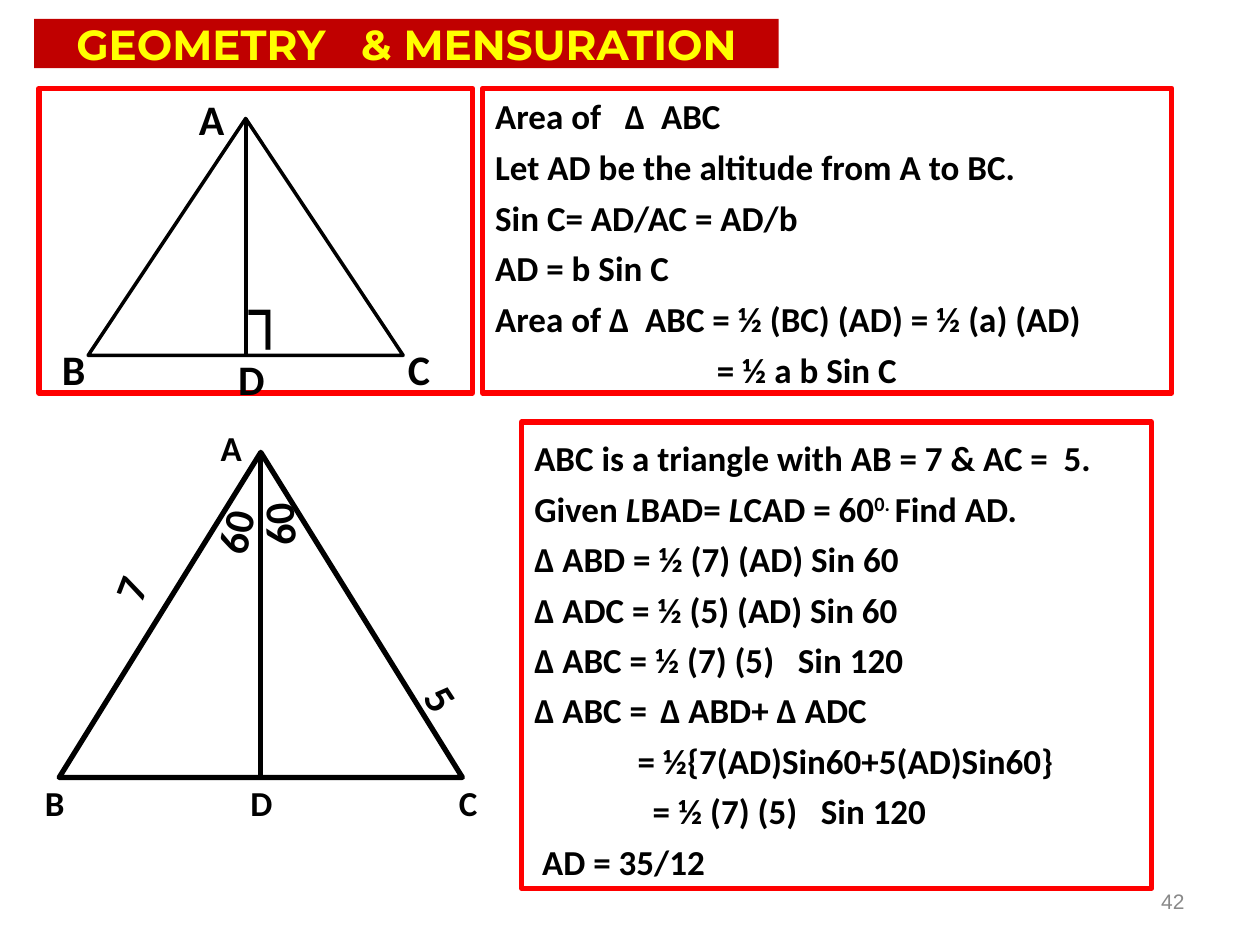
from pptx import Presentation, util as u
from pptx.dml.color import RGBColor
from pptx.enum import shapes, text
from pptx.oxml import parse_xml
from pptx.oxml.ns import nsdecls

BLACK = RGBColor(0x00, 0x00, 0x00)
RED = RGBColor(0xFF, 0x00, 0x00)
DARK_RED = RGBColor(0xC0, 0x00, 0x00)
YELLOW = RGBColor(0xFF, 0xFF, 0x00)
GREY = RGBColor(0x89, 0x89, 0x89)
In = u.Inches
ALIGN, ANCHOR = text.PP_ALIGN, text.MSO_ANCHOR


class Board:
    """Style and current slide, with one method for each kind of element."""

    base = {"name": "Calibri", "size": 20, "bold": True, "italic": False}

    def __init__(self, s):
        self.s = s

    def place(self, sp, box):
        for key, value in zip(("left", "top", "width", "height"), box):
            setattr(sp, key, In(value))

    def run(self, p, words, color=BLACK, raised=False, **fmt):
        r = p.add_run()
        r.text = words
        fmt = {**self.base, **fmt}
        fmt["size"] = u.Pt(fmt["size"])
        for key, value in fmt.items():
            setattr(r.font, key, value)
        r.font.color.rgb = color
        if raised:
            r.font._element.set("baseline", "30000")

    def frame(self, sp, anchor):
        tf = sp.text_frame
        values = {"word_wrap": True, "auto_size": text.MSO_AUTO_SIZE.NONE,
                  "vertical_anchor": anchor,
                  "margin_left": In(0.1), "margin_right": In(0.1),
                  "margin_top": In(0.05), "margin_bottom": In(0.05)}
        for key, value in values.items():
            setattr(tf, key, value)
        return tf

    def title(self, words, box):
        sp = self.s.shapes.title
        self.place(sp, box)
        sp.fill.solid()
        sp.fill.fore_color.rgb = DARK_RED
        p = self.frame(sp, ANCHOR.MIDDLE).paragraphs[0]
        p.alignment = ALIGN.CENTER
        self.run(p, words, YELLOW, name="Montserrat", size=24)

    def outline(self, sp, width, color):
        sp.line.color.rgb = color
        sp.line.width = u.Pt(width)

    def body(self, idx, box, lines, before=0, spacing=1.0):
        """Each line is (indent, runs); a run is (words, format)."""
        sp = self.s.placeholders[idx]
        self.place(sp, box)
        self.outline(sp, 3, RED)
        tf = self.frame(sp, ANCHOR.TOP)
        for i, (indent, runs) in enumerate(lines):
            p = tf.add_paragraph() if i else tf.paragraphs[0]
            p.space_before = u.Pt(before)
            p.line_spacing = spacing
            pPr = p._p.get_or_add_pPr()
            pPr.set("marL", str(In(indent)))
            pPr.set("indent", "0")
            pPr.append(parse_xml(f"<a:buNone {nsdecls('a')}/>"))
            for words, fmt in runs:
                self.run(p, words, **fmt)

    def shape(self, kind, box, width, color=BLACK):
        sp = self.s.shapes.add_shape(kind, *map(In, box))
        sp.shadow.inherit = False
        sp.fill.background()
        self.outline(sp, width, color)

    def line(self, x, top, bottom, width):
        sp = self.s.shapes.add_connector(
            shapes.MSO_CONNECTOR.STRAIGHT, In(x), In(top), In(x), In(bottom))
        self.outline(sp, width, BLACK)
        sp._element.spPr.append(parse_xml(f"<a:effectLst {nsdecls('a')}/>"))

    def label(self, words, box, rotation=0, align=ALIGN.CENTER,
              anchor=ANCHOR.MIDDLE, **fmt):
        sp = self.s.shapes.add_textbox(*map(In, box))
        sp.rotation = rotation
        p = self.frame(sp, anchor).paragraphs[0]
        p.alignment = align
        self.run(p, words, **fmt)

    def triangle(self, box, width, altitude_width):
        left, top, w, h = box
        self.shape(shapes.MSO_SHAPE.ISOSCELES_TRIANGLE, box, width)
        self.line(left + w / 2, top, top + h, altitude_width)


def plain(*lines):
    return [(0, [(words, {})]) for words in lines]


def main():
    prs = Presentation()
    prs.slide_width, prs.slide_height = In(10), In(7.5)
    b = Board(prs.slides.add_slide(prs.slide_layouts[3]))

    # Title banner
    b.title("GEOMETRY   & MENSURATION", (0.27, 0.15, 5.91, 0.39))

    # Area formula
    b.shape(shapes.MSO_SHAPE.RECTANGLE, (0.31, 0.7, 3.44, 2.42), 3, RED)
    b.body(1, (3.83, 0.7, 5.47, 2.42), plain(
        "Area of   ∆  ABC",
        "Let AD be the altitude from A to BC.",
        "Sin C= AD/AC = AD/b",
        "AD = b Sin C",
        "Area of ∆  ABC = ½ (BC) (AD) = ½ (a) (AD)",
    ) + [(1.76, [("= ½ a b Sin C", {})])], before=5)

    # Triangle with its altitude
    b.triangle((0.7, 0.94, 2.5, 1.88), 2, 2.25)
    b.label("A", (1.48, 0.79, 0.4, 0.3), size=24)
    for words, x, y in (("B", 0.31, 2.73), ("C", 3.05, 2.73), ("D", 1.72, 2.81)):
        b.label(words, (x, y, 0.55, 0.39), size=24)
    b.label("┐", (1.88, 2.34, 0.5, 0.23), name="Montserrat", size=36, bold=False)

    # Triangle with its angle bisector
    b.triangle((0.47, 3.59, 3.2, 2.58), 3, 3)
    for words, x, y in (("A", 1.56, 3.36), ("B", 0.16, 6.17),
                        ("D", 1.8, 6.17), ("C", 3.44, 6.17)):
        b.label(words, (x, y, 0.55, 0.39))
    for words, x, y, w, angle in ((" 5", 3.26, 5.27, 0.47, 57),
                                  ("7", 0.84, 4.41, 0.39, 291),
                                  (" 60", 1.54, 4, 0.63, 282.5),
                                  (" 60", 1.83, 3.88, 0.75, 265.4)):
        b.label(words, (x, y, w, 0.5), angle, ALIGN.LEFT, ANCHOR.TOP, size=24)

    # Worked example
    angle_sign = ("L", {"italic": True})
    given = [("ABC is a triangle with AB = 7 & AC =  5. Given ", {}),
             angle_sign, ("BAD= ", {}), angle_sign, ("CAD = 60", {}),
             ("0. ", {"raised": True}), ("Find AD.", {})]
    b.body(2, (4.14, 3.35, 5, 3.7), [(0, given)] + plain(
        "∆ ABD = ½ (7) (AD) Sin 60",
        "∆ ADC = ½ (5) (AD) Sin 60",
        "∆ ABC = ½ (7) (5)   Sin 120",
        "∆ ABC =\t∆ ABD+ ∆ ADC",
    ) + [(0.82, [("= ½{7(AD)Sin60+5(AD)Sin60}", {})]),
         (0.94, [("= ½ (7) (5)   Sin 120", {})])] + plain(" AD = 35/12"),
        spacing=1.2)

    # Slide number
    b.label("42", (7.17, 6.95, 2.33, 0.4), align=ALIGN.RIGHT,
            name="Arial", size=12, bold=False, color=GREY)

    prs.save("out.pptx")


if __name__ == "__main__":
    main()
